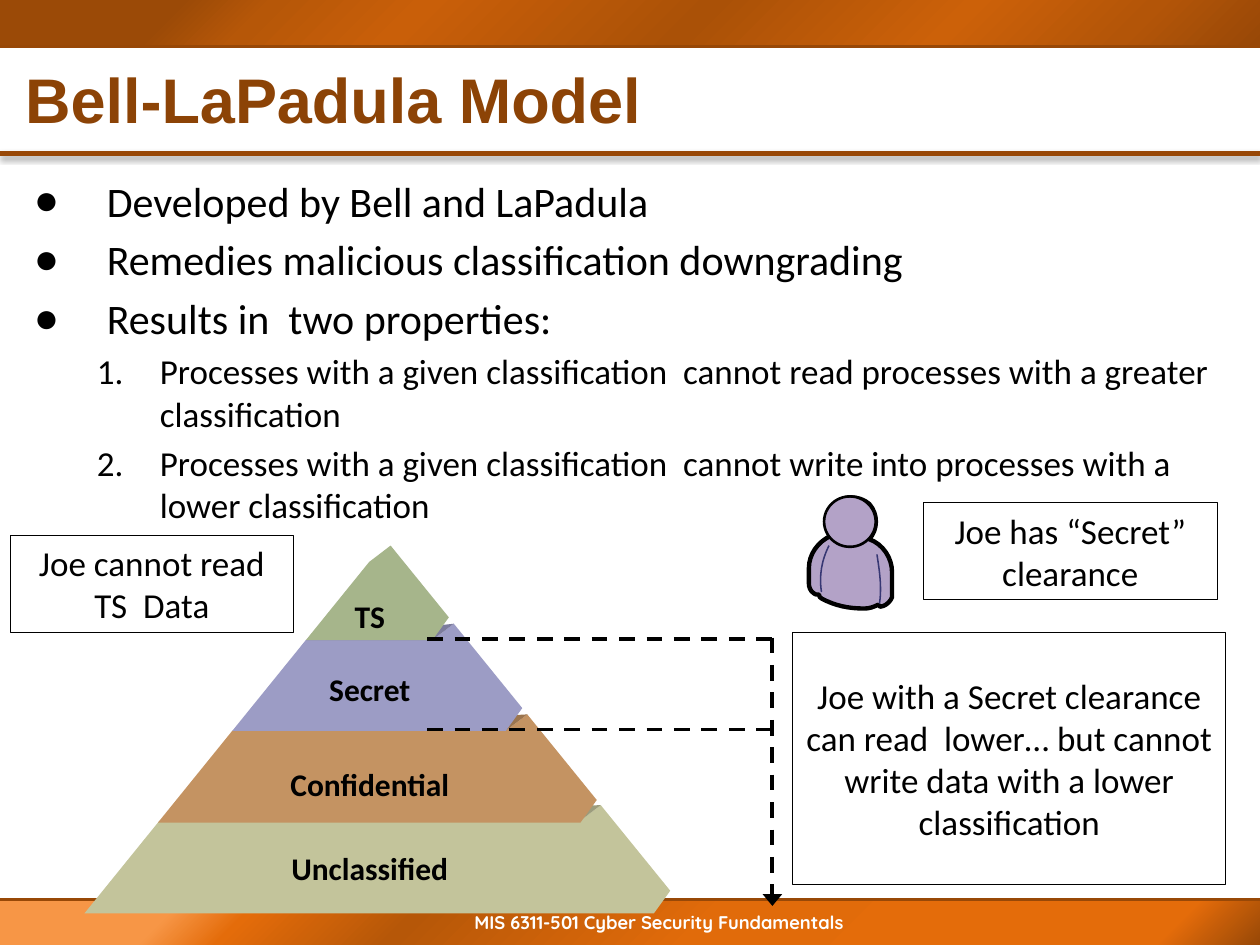
from dataclasses import dataclass

from lxml import etree
from pptx import Presentation
from pptx import util as u
from pptx.dml.color import RGBColor
from pptx.enum import dml, shapes, text
from pptx.oxml import ns

In = u.Inches


@dataclass(frozen=True)
class Theme:
    """Colours, fonts and type sizes of the slide."""
    ink: str = "000000"
    paper: str = "FFFFFF"
    rule: str = "984807"
    title: str = "8C4306"
    person: str = "B3A2C7"
    arm: str = "373773"
    header: tuple = ((14, "9B4A07"), (21, "B65708"), (33, "C95F09"), (55, "AA5107"),
                     (75, "CC6109"), (89, "B35508"), (100, "984807"))
    footer: tuple = ((14, "F79646"), (20, "E46C0A"), (33, "B65708"), (56, "E16B0A"),
                     (78, "E46C0A"), (92, "E46C0A"), (100, "984807"))
    body_font: str = "Calibri"
    title_font: str = "Arial"
    footer_font: str = "Quicksand"
    title_size: float = 36
    bullet_size: float = 24
    note_size: float = 20
    label_size: float = 18
    footer_size: float = 10.5


T = Theme()

BULLETS = ["Developed by Bell and LaPadula",
           "Remedies malicious classification downgrading",
           "Results in  two properties:"]
RULES = ["Processes with a given classification  cannot read processes with a greater classification",
         "Processes with a given classification  cannot write into processes with a lower classification"]
NOTES = [("Joe with a Secret clearance can read  lower… but cannot write data with a lower classification",
          (6.29, 5.02, 3.44, 2)),
         ("Joe has “Secret” clearance", (7.33, 3.99, 2.33, 0.77)),
         ("Joe cannot read TS  Data", (0.08, 4.25, 2.25, 0.77))]
LEVELS = [("Unclassified", 6.52, 7.25, 6.69, "C3C49B"),
          ("Confidential", 5.8, 6.53, 6.02, "C49362"),
          ("Secret", 5.08, 5.8, 5.27, "9C9CC5"),
          ("TS", 4.46, 5.08, 4.69, "A6B58B")]
BODY_START = (6.6, 4.25)
BODY_CURVES = [(6.49, 4.3, 6.42, 4.4, 6.42, 4.51), (6.42, 4.63),
               (6.42, 4.66, 6.43, 4.69, 6.46, 4.71), (6.47, 4.72, 6.48, 4.72, 6.5, 4.72),
               (6.5, 4.73, 6.51, 4.75, 6.52, 4.75), (6.63, 4.81, 6.74, 4.83, 6.86, 4.83),
               (6.9, 4.83, 6.93, 4.82, 6.97, 4.8), (6.98, 4.82, 6.99, 4.82, 7.01, 4.81),
               (7.04, 4.8, 7.07, 4.77, 7.08, 4.74), (7.08, 4.54),
               (7.08, 4.43, 7.01, 4.32, 6.9, 4.28), (6.97, 4.2, 6.97, 4.08, 6.9, 4),
               (6.82, 3.93, 6.69, 3.93, 6.62, 4), (6.55, 4.07, 6.54, 4.18, 6.6, 4.25)]
ARMS = [((6.52, 4.7), (6.5, 4.57, 6.52, 4.45, 6.58, 4.33)),
        ((6.98, 4.79), (7, 4.66, 6.98, 4.53, 6.96, 4.4))]


def rgb(value):
    """Return a colour object for a hex value."""
    return RGBColor.from_string(value)


def add_xml(parent, tag, **attrs):
    """Append a DrawingML element and return it."""
    return etree.SubElement(parent, ns.qn(f"a:{tag}"), attrs)


def paint(sp, fill=None, line=None, width=1.0):
    """Set the fill and outline of a shape and drop its shadow."""
    sp.shadow.inherit = False
    if fill:
        sp.fill.solid()
        sp.fill.fore_color.rgb = rgb(fill)
    else:
        sp.fill.background()
    if line:
        sp.line.color.rgb = rgb(line)
        sp.line.width = u.Pt(width)
    else:
        sp.line.fill.background()


def style(p, size, font=T.body_font, color=T.ink, bold=False, align=None):
    """Set the font and alignment of a paragraph."""
    p.font.size, p.font.name, p.font.bold = u.Pt(size), font, bold
    p.font.color.rgb = rgb(color)
    p.alignment = align


def add_text(s, box, words, size, anchor=text.MSO_ANCHOR.TOP, **look):
    """Add a one-paragraph text box and return its shape."""
    sp = s.shapes.add_textbox(*map(In, box))
    tf = sp.text_frame
    tf.word_wrap, tf.vertical_anchor = True, anchor
    tf.text = words
    style(tf.paragraphs[0], size, **look)
    return sp


def add_band(s, top, stops):
    """Add a full-width bar with a diagonal gradient."""
    sp = s.shapes.add_shape(shapes.MSO_SHAPE.RECTANGLE, 0, In(top), In(10), In(0.36))
    paint(sp)
    sp.fill.gradient()
    grad = sp._element.spPr.find(ns.qn("a:gradFill"))
    for child in list(grad):
        grad.remove(child)
    stop_list = add_xml(grad, "gsLst")
    for pos, color in stops:
        add_xml(add_xml(stop_list, "gs", pos=str(pos * 1000)), "srgbClr", val=color)
    add_xml(grad, "lin", ang="2700000", scaled="0")


def add_line(s, x1, y1, x2, y2, color, width, dash=False, arrow=False, shadow=False):
    """Add a straight line, optionally dashed, arrowed or shadowed."""
    c = s.shapes.add_connector(shapes.MSO_CONNECTOR.STRAIGHT, *map(In, (x1, y1, x2, y2)))
    c.line.color.rgb = rgb(color)
    c.line.width = u.Pt(width)
    if dash:
        c.line.dash_style = dml.MSO_LINE.DASH
    if arrow:
        add_xml(c.line._get_or_add_ln(), "tailEnd", type="triangle", w="lg")
    effects = add_xml(c._element.spPr, "effectLst")
    if shadow:
        outer = add_xml(effects, "outerShdw", blurRad=str(u.Pt(3.1)), dist=str(u.Pt(1.6)),
                        dir="5400000", rotWithShape="0")
        add_xml(add_xml(outer, "srgbClr", val=T.ink), "alpha", val="38000")


def add_outline(s, start, steps, closed=True, lid=(), **look):
    """Add a freeform of lines and cubic curves, with an optional darker lid."""
    fb = s.shapes.build_freeform(In(start[0]), In(start[1]))
    fb.add_line_segments([(In(p[-2]), In(p[-1])) for p in steps], close=closed)
    if lid:
        fb.move_to(In(lid[0][0]), In(lid[0][1]))
        fb.add_line_segments([(In(x), In(y)) for x, y in lid[1:]])
    sp = fb.convert_to_shape()
    outline = next(sp._element.iter(ns.qn("a:path")))
    for node, step in zip(outline.findall(ns.qn("a:lnTo")), steps):
        if len(step) == 6:
            node.tag = ns.qn("a:cubicBezTo")
            node.clear()
            for x, y in zip(step[::2], step[1::2]):
                add_xml(node, "pt", x=str(In(x) - sp.left), y=str(In(y) - sp.top))
    if lid:
        shade = add_xml(outline.getparent(), "path", w=outline.get("w"), h=outline.get("h"),
                        fill="darkenLess")
        shade.extend(list(outline)[len(steps) + 2:])
    paint(sp, **look)


def add_list(s):
    """Add the bulleted points and the two numbered rules."""
    tf = s.shapes.add_textbox(*map(In, (0.17, 1.34, 9.83, 5.84))).text_frame
    tf.word_wrap = True
    for i, words in enumerate(BULLETS + RULES):
        p = tf.add_paragraph() if i else tf.paragraphs[0]
        p.text = words
        numbered = i >= len(BULLETS)
        left, hang = (1, 0.5) if numbered else (0.58, 0.58)
        size = T.note_size if numbered else T.bullet_size
        pPr = p._p.get_or_add_pPr()
        pPr.set("marL", str(In(left)))
        pPr.set("indent", str(-In(hang)))
        if i:
            p.space_before = u.Pt(0.2 * size)
        if numbered:
            p.level = 1
            add_xml(pPr, "buAutoNum", type="arabicPeriod")
        else:
            add_xml(pPr, "buFont", typeface=T.title_font)
            add_xml(pPr, "buChar", char="●")
        style(p, size)


def add_pyramid(s):
    """Add the four solid levels of the pyramid with their labels."""
    apex_x, apex_y, slope = 2.93, 4.46, 0.81
    for _, top, bottom, _, face in LEVELS:
        a, b = (top - apex_y) * slope, (bottom - apex_y) * slope
        left, right = (apex_x - a, top), (apex_x + a, top)
        back = (right[0] + 0.17, top - 0.13)
        side = [back, (apex_x + b + 0.13, bottom - 0.18), (apex_x + b, bottom),
                (apex_x - b, bottom)]
        add_outline(s, left, [right] + side if a else side,
                    lid=(left, right, back) if a else (), fill=face)
    for name, _, _, y, _ in LEVELS:
        add_text(s, (1.31, y, 3.25, 0.4), name, T.label_size, bold=True,
                 align=text.PP_ALIGN.CENTER)


def add_person(s):
    """Add the figure of Joe."""
    add_outline(s, BODY_START, BODY_CURVES, fill=T.person, line=T.ink, width=2.5)
    for start, curve in ARMS:
        add_outline(s, start, [curve], closed=False, fill=T.person, line=T.arm, width=0.88)
    head = s.shapes.add_shape(shapes.MSO_SHAPE.OVAL, *map(In, (6.54, 3.94, 0.41, 0.4)))
    paint(head, T.person, T.ink, 1.5)
    chest = s.shapes.add_shape(shapes.MSO_SHAPE.RECTANGLE, *map(In, (6.61, 4.4, 0.32, 0.3)))
    paint(chest, T.person)


def main():
    """Build the slide and save it."""
    prs = Presentation()
    prs.slide_width, prs.slide_height = In(10), In(7.5)
    s = prs.slides.add_slide(prs.slide_layouts[6])
    add_band(s, 7.14, T.footer)
    add_line(s, 0, 1.22, 10, 1.22, T.rule, 3, shadow=True)
    footer = add_text(s, (1.42, 7.18, 7.42, 0.29), "MIS 6311-501 Cyber Security Fundamentals",
                      T.footer_size, font=T.footer_font, color=T.paper, bold=True,
                      align=text.PP_ALIGN.CENTER)
    footer.text_frame.margin_left = In(0.3)
    add_band(s, 0, T.header)
    for y in (7.14, 0.37):
        add_line(s, 0, y, 10, y, T.rule, 1.5)
    title = add_text(s, (0, 0.44, 10, 0.75), "Bell-LaPadula Model", T.title_size,
                     text.MSO_ANCHOR.MIDDLE, font=T.title_font, color=T.title, bold=True)
    title.text_frame.margin_left = In(0.2)
    title.text_frame.paragraphs[0].line_spacing = 0.9
    add_list(s)
    add_pyramid(s)
    for y in (5.07, 5.79):
        add_line(s, 3.39, y, 6.14, y, T.ink, 2.25, dash=True)
    add_line(s, 6.13, 5.06, 6.13, 7.19, T.ink, 2.25, dash=True, arrow=True)
    add_person(s)
    for words, box in NOTES:
        sp = add_text(s, box, words, T.note_size, text.MSO_ANCHOR.MIDDLE,
                      align=text.PP_ALIGN.CENTER)
        paint(sp, T.paper, T.ink, 0.5)
    prs.save("out.pptx")


if __name__ == "__main__":
    main()
